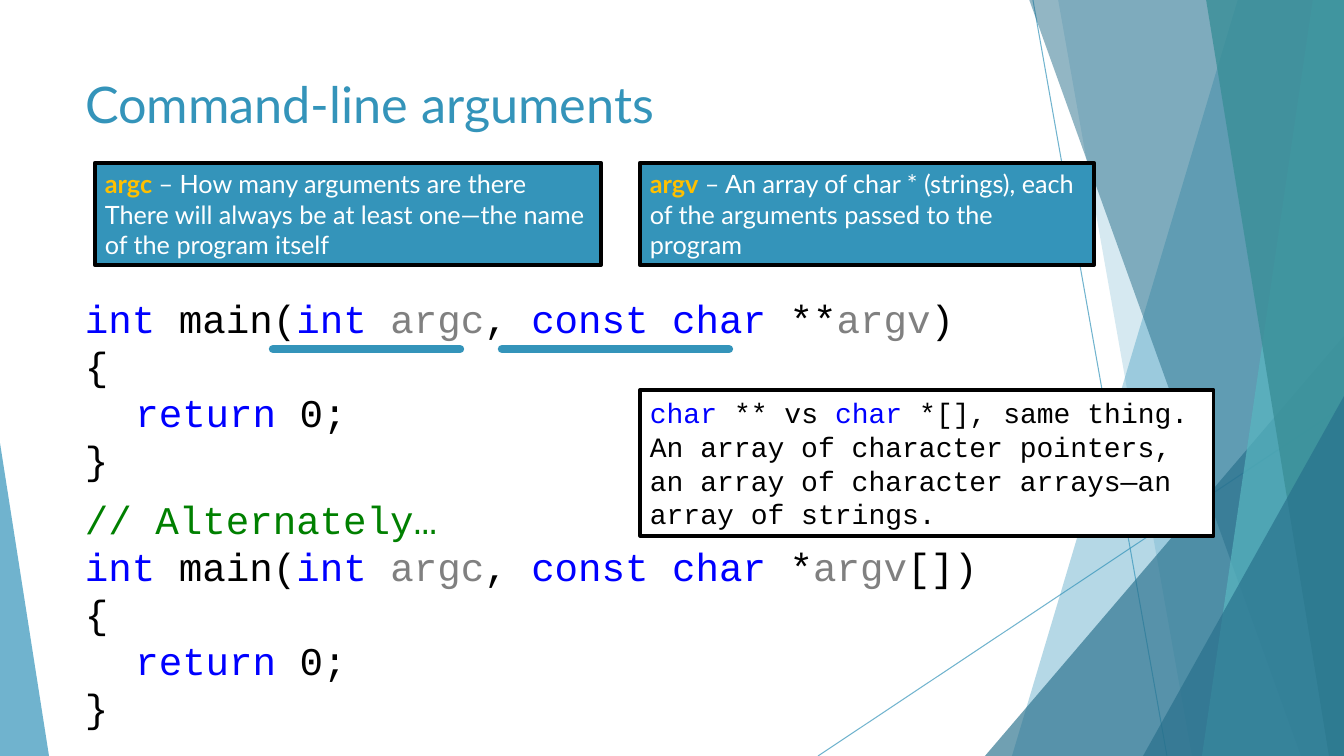
from dataclasses import dataclass

from lxml.etree import SubElement
from pptx import Presentation
from pptx.dml.color import RGBColor
from pptx.enum.shapes import MSO_CONNECTOR as Connector, MSO_SHAPE as Shape
from pptx.enum.text import MSO_ANCHOR as Anchor, MSO_AUTO_SIZE as AutoSize, PP_ALIGN as Align
from pptx.oxml.ns import qn
from pptx.util import Pt

PX = 914400 / 100.8  # EMU in one px


@dataclass(frozen=True)
class Theme:
    blue: str = "3494BA"
    navy: str = "276F8B"
    aqua: str = "58B6C0"
    teal: str = "3A8F98"
    black: str = "000000"
    white: str = "FFFFFF"
    keyword: str = "0000FF"
    name: str = "808080"
    remark: str = "008000"
    term: str = "FFC000"
    sans: str = "Lato"
    mono: str = "Courier New"
    title_size: int = 36
    code_size: int = 28
    note_size: int = 20
    label_size: int = 18


THEME = Theme()


def emu(*lengths):
    return [round(length * PX) for length in lengths]


def paint(fmt, color, opacity=100):
    """Give a fill or line format one solid colour."""
    fill = getattr(fmt, "fill", fmt)
    fill.solid()
    fill.fore_color.rgb = RGBColor.from_string(color)
    if opacity < 100:
        # The colour element is the only child of the fill
        for node in fmt._xPr.iter(qn("a:srgbClr")):
            SubElement(node, qn("a:alpha"), val=str(opacity * 1000))


def add_line(page, start, end, width, opacity=100, cap="flat"):
    line = page.shapes.add_connector(Connector.STRAIGHT, *emu(*start, *end))
    line.line.width = Pt(width)
    paint(line.line, THEME.blue)
    outline = line.line._get_or_add_ln()
    outline.set("cap", cap)
    if opacity < 100:
        for node in outline.iter(qn("a:srgbClr")):
            SubElement(node, qn("a:alpha"), val=str(opacity * 1000))
    SubElement(line._element.spPr, qn("a:effectLst"))


def finish_facet(facet, color, opacity):
    facet.shadow.inherit = False
    paint(facet.fill, color, opacity)
    facet.line.fill.background()


def add_band(page, corners, color, opacity):
    builder = page.shapes.build_freeform(*corners[0], scale=PX)
    builder.add_line_segments(corners[1:], close=True)
    finish_facet(builder.convert_to_shape(), color, opacity)


def add_triangle(page, place, tip, color, opacity):
    triangle = page.shapes.add_shape(Shape.ISOSCELES_TRIANGLE, *emu(*place))
    triangle.adjustments[0] = tip
    finish_facet(triangle, color, opacity)


def write(box, lines, font, size, anchor=Anchor.TOP):
    """Each line is a list of (text, colour) spans; terms are bold."""
    frame = box.text_frame
    frame.word_wrap = True
    frame.auto_size = AutoSize.NONE
    frame.vertical_anchor = anchor
    for index, spans in enumerate(lines):
        para = frame.paragraphs[0] if index == 0 else frame.add_paragraph()
        para.alignment = Align.LEFT
        for text, color in spans:
            span = para.add_run()
            span.text = text
            span.font.name = font
            span.font.size = Pt(size)
            span.font.bold = color == THEME.term
            span.font.color.rgb = RGBColor.from_string(color)
        if spans[0][0].startswith("\t"):
            tabs = SubElement(para._p.get_or_add_pPr(), qn("a:tabLst"))
            SubElement(tabs, qn("a:tab"), pos="457200", algn="l")


def add_code(page, place, lines):
    write(page.shapes.add_textbox(*emu(*place)), lines, THEME.mono, THEME.code_size)


def add_card(page, place, fill, border, lines, font, size):
    card = page.shapes.add_shape(Shape.RECTANGLE, *emu(*place))
    card.shadow.inherit = False
    paint(card.fill, fill)
    paint(card.line, THEME.black)
    card.line.width = Pt(border)
    write(card, lines, font, size, Anchor.MIDDLE)


def main_function(stars, brackets):
    """Code lines of main() with the given spelling of argv."""
    t = THEME
    return [
        [("int ", t.keyword), ("main(", t.black), ("int ", t.keyword),
         ("argc", t.name), (", ", t.black), ("const char ", t.keyword),
         (stars, t.black), ("argv", t.name), (brackets + ")", t.black)],
        [("{", t.black)],
        [("\treturn", t.keyword), (" 0;", t.black)],
        [("}", t.black)],
    ]


def add_backdrop(page):
    t = THEME
    add_line(page, (1033, 0), (1167, 756), 0.75, 70)
    add_line(page, (1344, 406), (818, 756), 0.75, 70)

    def band(top, bottom, color, opacity):
        corners = [(top, -1), (1344, -1), (1344, 756), (bottom, 756)]
        add_band(page, corners, color, opacity)

    band(1238, 1012, t.blue, 36)
    band(1058, 1192, t.blue, 20)
    add_triangle(page, (985, 336, 359, 420), 1, t.navy, 66)
    band(1029, 1301, t.navy, 50)
    band(1313, 1202, t.aqua, 70)
    band(1206, 1329, t.teal, 80)
    add_triangle(page, (1143, 396, 201, 360), 1, t.navy, 66)
    add_triangle(page, (0, 443, 49, 313), 0, t.blue, 70)


def main():
    t = THEME
    deck = Presentation()
    deck.slide_width, deck.slide_height = emu(1344, 756)
    page = deck.slides.add_slide(deck.slide_layouts[5])

    add_backdrop(page)

    # Title
    title = page.shapes.title
    title.left, title.top, title.width, title.height = emu(75, 68, 948, 145)
    write(title, [[("Command-line arguments", t.blue)]], t.sans, t.title_size)

    # First form of main()
    add_code(page, (75, 289, 982, 201), main_function("**", ""))

    # What the two parameters mean
    add_card(page, (95, 163, 506, 102), t.blue, 3, [
        [("argc", t.term), (" – How many arguments are there", t.white)],
        [("There will always be at least one—the name of the program itself", t.white)],
    ], t.sans, t.label_size)
    add_card(page, (640, 163, 454, 102), t.blue, 3, [
        [("argv", t.term),
         (" – An array of char * (strings), each of the arguments passed to the program", t.white)],
    ], t.sans, t.label_size)

    # Second form of main()
    add_code(page, (75, 490, 982, 248),
             [[("// Alternately…", t.remark)]] + main_function("*", "[]"))

    # Underlines of the parameters
    for left, right in ((273, 460), (502, 729)):
        add_line(page, (left, 349), (right, 349), 6, cap="rnd")

    # Note on the two spellings
    add_card(page, (640, 390, 574, 146), t.white, 2.25, [
        [("char ", t.keyword), ("** vs ", t.black), ("char ", t.keyword),
         ("*[], same thing. An array of character pointers, an array of "
          "character arrays—an array of strings.", t.black)],
    ], t.mono, t.note_size)

    deck.save("out.pptx")


if __name__ == "__main__":
    main()
